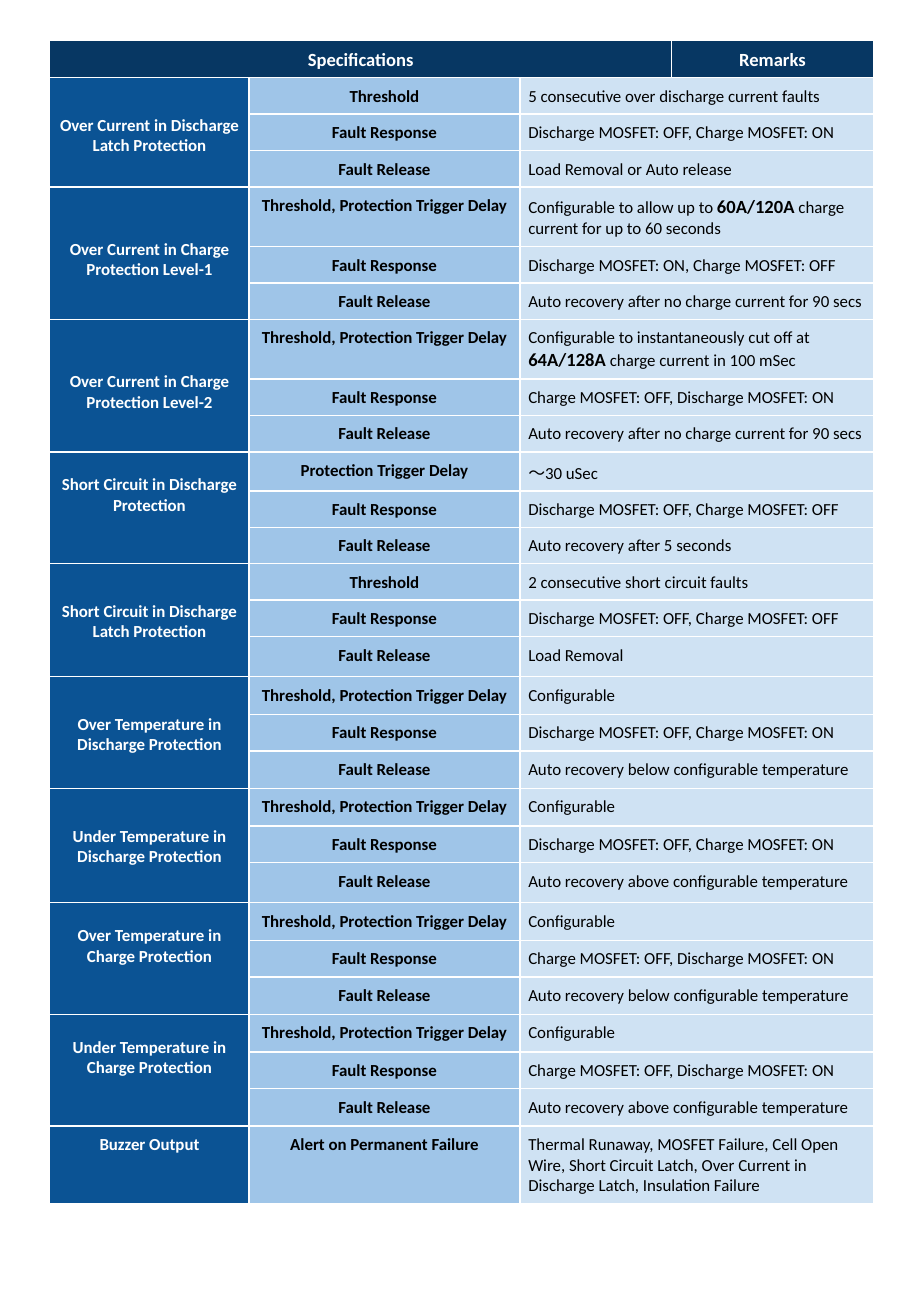
from lxml import etree
from pptx import Presentation
from pptx.dml.color import RGBColor
from pptx.enum.text import MSO_ANCHOR, PP_ALIGN
from pptx.oxml import parse_xml
from pptx.util import Inches, Pt

# Palette
NAVY = RGBColor(0x07, 0x37, 0x63)
BLUE = RGBColor(0x0B, 0x53, 0x94)
SKY = RGBColor(0x9F, 0xC5, 0xE8)
PALE = RGBColor(0xCF, 0xE2, 0xF3)
WHITE = RGBColor(0xFF, 0xFF, 0xFF)
BLACK = RGBColor(0x00, 0x00, 0x00)

# Table geometry in inches
COLUMNS = [1.64, 2.23, 1.25, 1.66]
HEADER_HEIGHT = 0.31
LEAD = 0.12  # one step of extra space above a protection name
EVEN = [0.3, 0.3, 0.3]
TALL_FIRST = [0.49, 0.3, 0.3]
TEMPERATURE = [0.31, 0.3, 0.31]

# Repeated wording
DELAY = "Threshold, Protection Trigger Delay"
LABELS = ["Fault Response", "Fault Release"]
CHARGE_ON = "Discharge MOSFET: OFF, Charge MOSFET: ON"
DISCHARGE_ON = "Charge MOSFET: OFF, Discharge MOSFET: ON"
BOTH_OFF = "Discharge MOSFET: OFF, Charge MOSFET: OFF"
AFTER_90 = "Auto recovery after no charge current for 90 secs"
BELOW = "Auto recovery below configurable temperature"
ABOVE = "Auto recovery above configurable temperature"

# Protection, lead steps, row heights, first label, remarks (*emphasis*)
PROTECTIONS = [
    ("Over Current in Discharge Latch Protection", 2, EVEN, "Threshold",
     ["5 consecutive over discharge current faults", CHARGE_ON,
      "Load Removal or Auto release"]),
    ("Over Current in Charge Protection Level-1", 3, TALL_FIRST, DELAY,
     ["Configurable to allow up to *60A/120A* charge current for up to 60 seconds",
      "Discharge MOSFET: ON, Charge MOSFET: OFF", AFTER_90]),
    ("Over Current in Charge Protection Level-2", 3, TALL_FIRST, DELAY,
     ["Configurable to instantaneously cut off at *64A/128A* charge current in 100 mSec",
      DISCHARGE_ON, AFTER_90]),
    ("Short Circuit in Discharge Protection", 1, EVEN, "Protection Trigger Delay",
     ["～30 uSec", BOTH_OFF, "Auto recovery after 5 seconds"]),
    ("Short Circuit in Discharge Latch Protection", 2, [0.3, 0.3, 0.33], "Threshold",
     ["2 consecutive short circuit faults", BOTH_OFF, "Load Removal"]),
    ("Over Temperature in Discharge Protection", 2, TEMPERATURE, DELAY,
     ["Configurable", CHARGE_ON, BELOW]),
    ("Under Temperature in Discharge Protection", 2, [0.31, 0.3, 0.33], DELAY,
     ["Configurable", CHARGE_ON, ABOVE]),
    ("Over Temperature in Charge Protection", 1, TEMPERATURE, DELAY,
     ["Configurable", DISCHARGE_ON, BELOW]),
    ("Under Temperature in Charge Protection", 1, TEMPERATURE, DELAY,
     ["Configurable", DISCHARGE_ON, ABOVE]),
    ("Buzzer Output", 0, [0.64], "Alert on Permanent Failure",
     ["Thermal Runaway, MOSFET Failure, Cell Open Wire, Short Circuit Latch, "
      "Over Current in Discharge Latch, Insulation Failure"]),
]


class SpecSheet:
    """Holds the style and the current slide."""

    font = "Calibri"
    inset = Inches(0.07)
    border = ('<a:{0} xmlns:a="http://schemas.openxmlformats.org/drawingml/2006/main" '
              'w="12700"><a:solidFill><a:srgbClr val="FFFFFF"/></a:solidFill></a:{0}>')

    def __init__(self, prs):
        self.s = prs.slides.add_slide(prs.slide_layouts[6])

    def table(self, left, top, columns, heights):
        frame = self.s.shapes.add_table(
            len(heights), len(columns), Inches(left), Inches(top),
            Inches(sum(columns)), Inches(sum(heights)))
        table = frame.table
        table.first_row = table.horz_banding = False
        for column, width in zip(table.columns, columns):
            column.width = Inches(width)
        for row, height in zip(table.rows, heights):
            row.height = Inches(height)
        for cell in table.iter_cells():
            self.frame_cell(cell)
        return table

    def frame_cell(self, cell):
        cell.margin_left = cell.margin_right = cell.margin_top = self.inset
        cell.margin_bottom = Inches(0.05)
        cell.vertical_anchor = MSO_ANCHOR.TOP
        tcPr = cell._tc.get_or_add_tcPr()
        for side in ("lnL", "lnR", "lnT", "lnB"):
            tcPr.append(parse_xml(self.border.format(side)))

    def cell(self, cell, text, fill, color=BLACK, size=10, bold=True,
             align=PP_ALIGN.CENTER, lead=0):
        cell.fill.solid()
        cell.fill.fore_color.rgb = fill
        cell.margin_top = self.inset + Inches(lead)
        p = cell.text_frame.paragraphs[0]
        p.alignment = align
        for i, part in enumerate(text.split("*")):
            r = p.add_run()
            r.text = part
            emphasis = i % 2 == 1
            r.font.name = self.font
            r.font.size = Pt(size + emphasis)
            r.font.bold = bold or emphasis
            r.font.color.rgb = color


def main():
    prs = Presentation()
    prs.slide_width, prs.slide_height = Inches(7.5), Inches(10.83)
    sheet = SpecSheet(prs)
    heights = [HEADER_HEIGHT] + [h for group in PROTECTIONS for h in group[2]]
    table = sheet.table(0.41, 0.33, COLUMNS, heights)

    # Header
    table.cell(0, 0).merge(table.cell(0, 2))
    for column, text in ((0, "Specifications"), (3, "Remarks")):
        sheet.cell(table.cell(0, column), text, NAVY, WHITE, size=11)

    # Protections, each with its labels and remarks
    row = 1
    for name, steps, _, first_label, remarks in PROTECTIONS:
        if len(remarks) > 1:
            table.cell(row, 0).merge(table.cell(row + len(remarks) - 1, 0))
        sheet.cell(table.cell(row, 0), name, BLUE, WHITE, lead=steps * LEAD)
        for label, remark in zip([first_label] + LABELS, remarks):
            table.cell(row, 2).merge(table.cell(row, 3))
            sheet.cell(table.cell(row, 1), label, SKY)
            sheet.cell(table.cell(row, 2), remark, PALE, bold=False,
                       align=PP_ALIGN.LEFT)
            row += 1

    prs.save("out.pptx")


if __name__ == "__main__":
    main()
